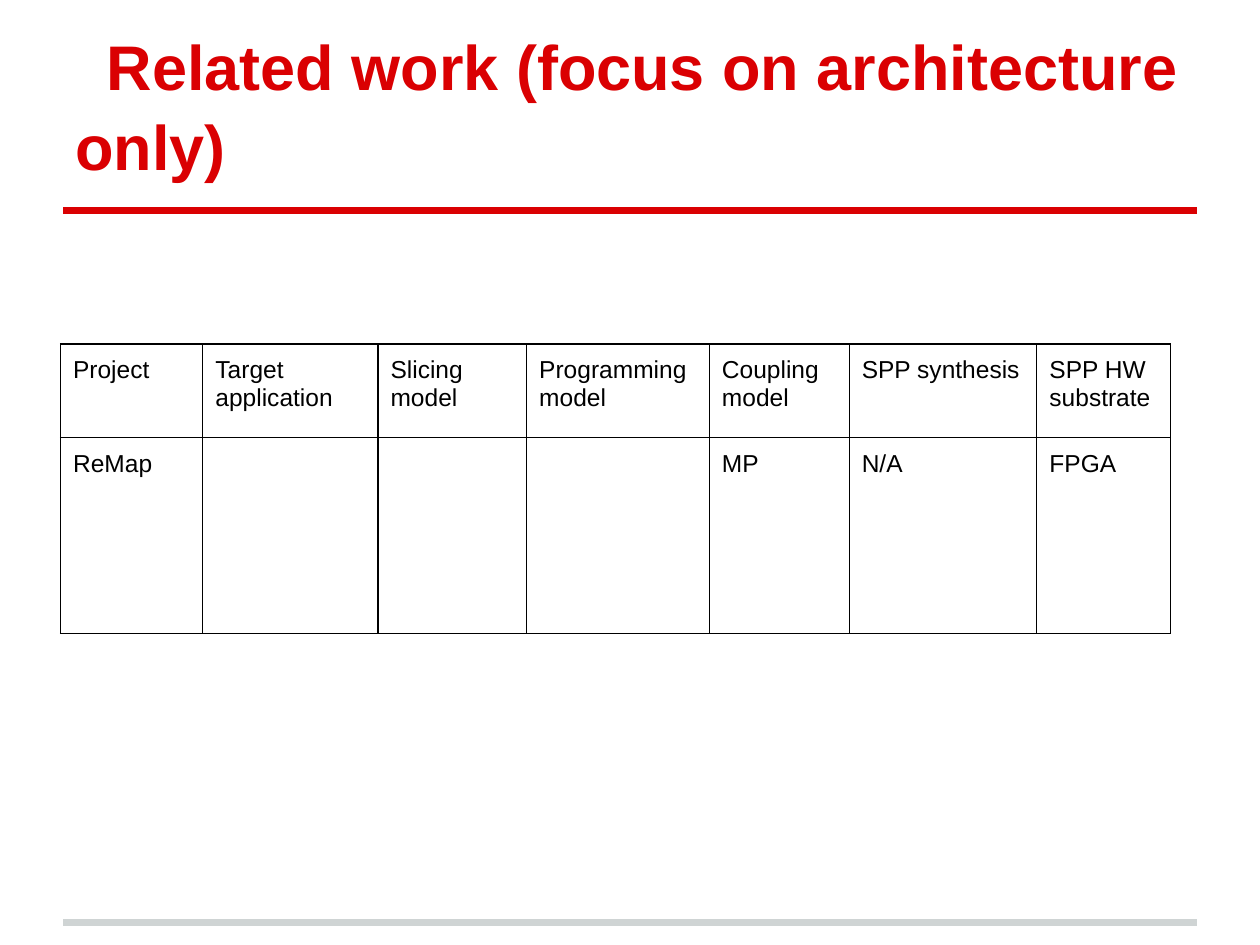
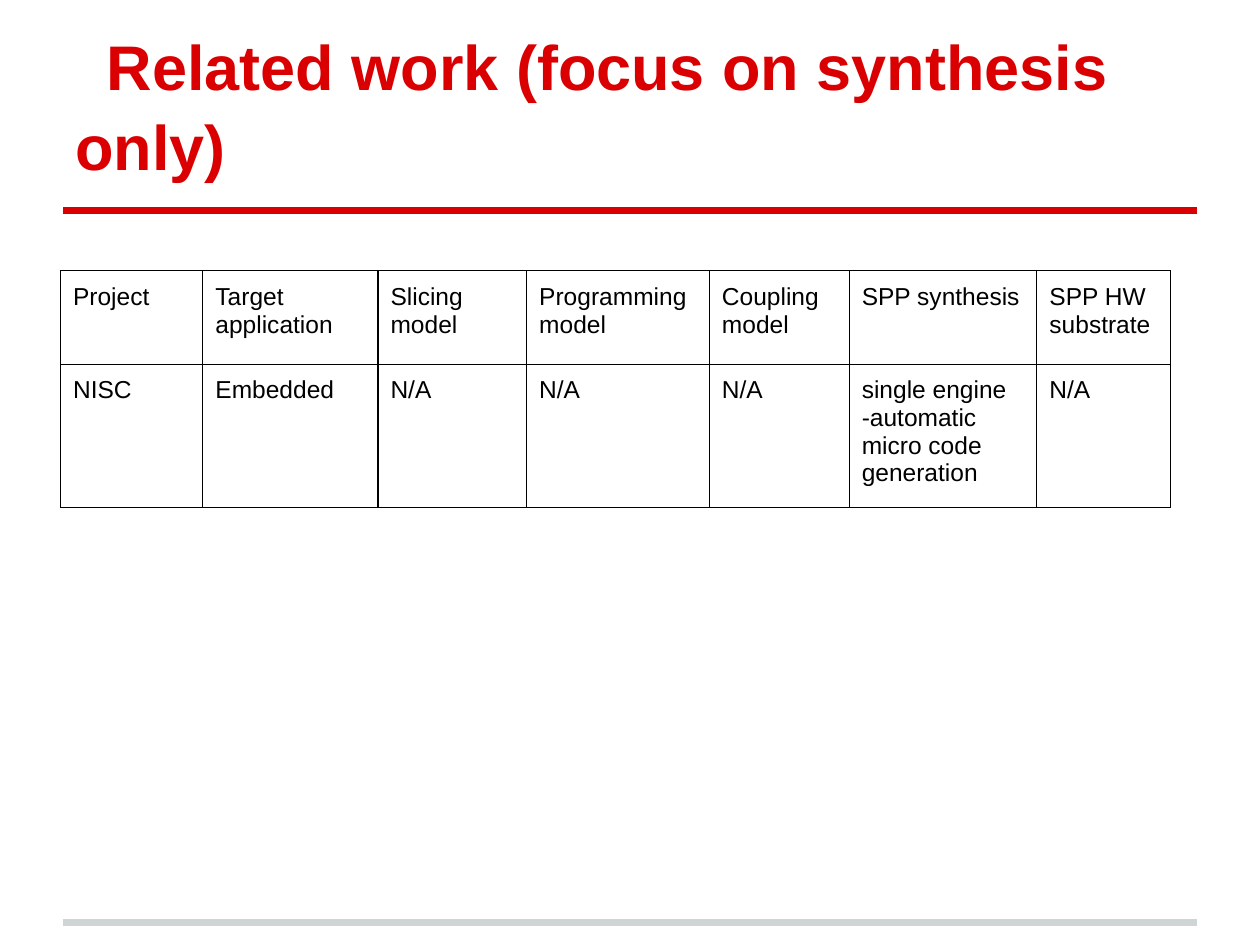
from dataclasses import dataclass

from lxml import etree
from pptx import Presentation
from pptx import util as u
from pptx.dml.color import RGBColor
from pptx.enum import shapes, text
from pptx.oxml import ns

COLORS = {"accent": "DA0002", "footer": "CFD4D4", "ink": "000000"}
FONT = "Arial"
MARGIN = u.Inches(0.1)
COLUMN_WIDTHS = [1.13, 1.39, 1.18, 1.45, 1.11, 1.49, 1.06]
HEADINGS = ["Project", "Target application", "Slicing model", "Programming model",
            "Coupling model", "SPP synthesis", "SPP HW substrate"]
HEADING_HEIGHT = 0.74


@dataclass
class Rule:
    y: float
    color: str


@dataclass
class RelatedWork:
    title: str
    table_top: float
    project_height: float
    project: list[str]


RULES = [Rule(7.32, "footer"), Rule(1.67, "accent")]
SLIDES = [
    RelatedWork("Related work (focus on architecture only)", 2.73, 1.56,
                ["ReMap", "", "", "", "MP", "N/A", "FPGA"]),
    RelatedWork("Related work (focus on synthesis only)", 2.15, 1.14,
                ["NISC", "Embedded", "N/A", "N/A", "N/A",
                 "single engine -automatic micro code generation", "N/A"]),
]


def rgb(color: str) -> RGBColor:
    return RGBColor.from_string(COLORS[color])


def style_font(font, size: float, color: str, bold: bool = False) -> None:
    font.name = FONT
    font.size = u.Pt(size)
    font.bold = bold
    font.color.rgb = rgb(color)


def set_margins(holder) -> None:
    holder.margin_left = holder.margin_right = MARGIN
    holder.margin_top = holder.margin_bottom = MARGIN


def draw_rule(slide, rule: Rule) -> None:
    line = slide.shapes.add_connector(
        shapes.MSO_CONNECTOR.STRAIGHT,
        u.Inches(0.5), u.Inches(rule.y), u.Inches(9.5), u.Inches(rule.y))
    line.line.color.rgb = rgb(rule.color)
    line.line.width = u.Pt(4)
    etree.SubElement(line._element.spPr, ns.qn("a:effectLst"))


def draw_title(slide, title: str) -> None:
    box = slide.shapes.add_textbox(
        u.Inches(0.5), u.Inches(0.3), u.Inches(9), u.Inches(1.25))
    frame = box.text_frame
    frame.word_wrap = True
    frame.vertical_anchor = text.MSO_ANCHOR.BOTTOM
    set_margins(frame)
    frame.text = title
    paragraph = frame.paragraphs[0]
    paragraph.line_spacing = 1.05
    paragraph._p.get_or_add_pPr().set("indent", str(u.Inches(0.25)))
    style_font(paragraph.runs[0].font, 36, "accent", bold=True)


def add_borders(cell) -> None:
    properties = cell._tc.get_or_add_tcPr()
    for position, side in enumerate(("lnL", "lnR", "lnT", "lnB")):
        border = etree.Element(ns.qn(f"a:{side}"), w=str(u.Pt(0.75)))
        fill = etree.SubElement(border, ns.qn("a:solidFill"))
        etree.SubElement(fill, ns.qn("a:srgbClr"), val=COLORS["ink"])
        properties.insert(position, border)


def fill_cell(cell, content: str) -> None:
    set_margins(cell)
    cell.fill.background()
    add_borders(cell)
    if content:
        cell.text_frame.text = content
        style_font(cell.text_frame.paragraphs[0].runs[0].font, 14, "ink")


def draw_comparison(slide, work: RelatedWork) -> None:
    heights = [HEADING_HEIGHT, work.project_height]
    table = slide.shapes.add_table(
        len(heights), len(HEADINGS), u.Inches(0.48), u.Inches(work.table_top),
        u.Inches(sum(COLUMN_WIDTHS)), u.Inches(sum(heights))).table
    table.first_row = table.horz_banding = False
    for column, width in zip(table.columns, COLUMN_WIDTHS):
        column.width = u.Inches(width)
    for row, height, contents in zip(table.rows, heights, [HEADINGS, work.project]):
        row.height = u.Inches(height)
        for cell, content in zip(row.cells, contents):
            fill_cell(cell, content)


def main() -> None:
    deck = Presentation()
    deck.slide_width, deck.slide_height = u.Inches(10), u.Inches(7.5)
    for work in SLIDES:
        slide = deck.slides.add_slide(deck.slide_layouts[6])
        for rule in RULES:
            draw_rule(slide, rule)
        draw_title(slide, work.title)
        draw_comparison(slide, work)
    deck.save("out.pptx")


if __name__ == "__main__":
    main()
